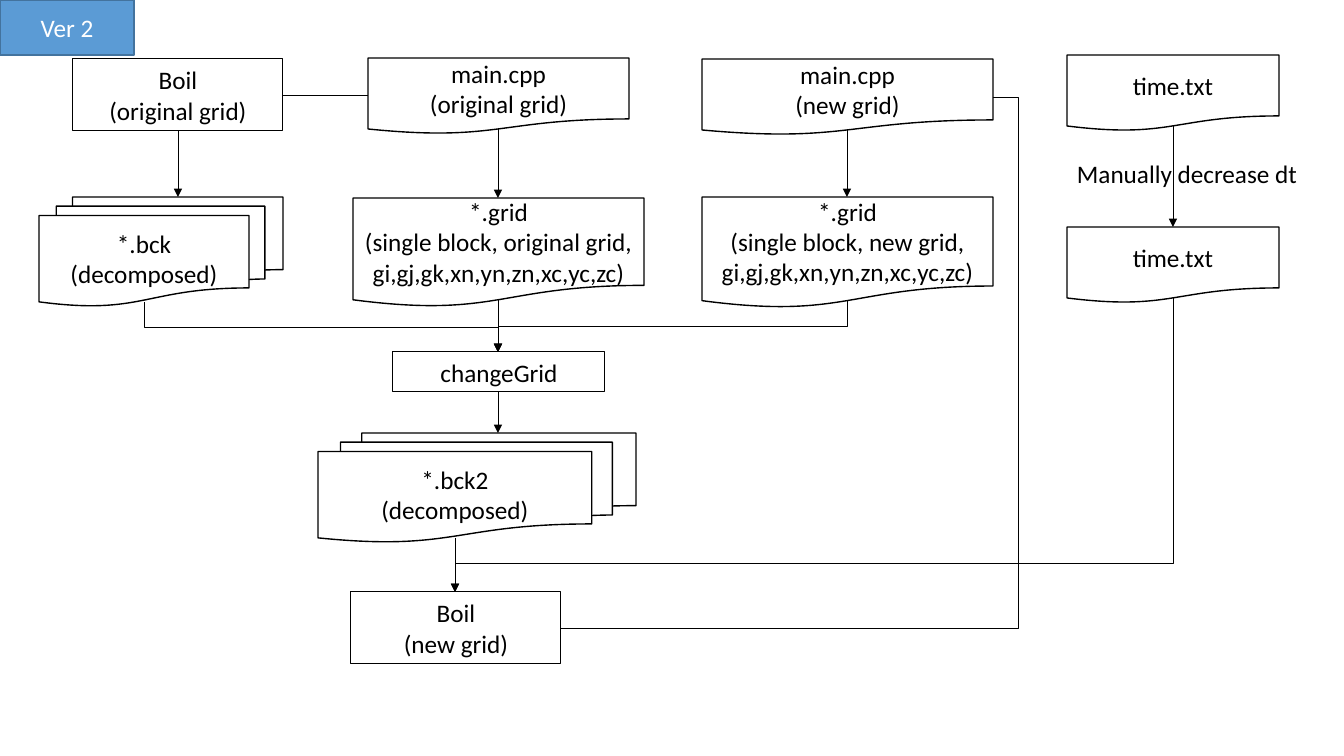
from pptx import Presentation
from pptx import util as u
from pptx.dml.color import RGBColor
from pptx.enum import shapes as sh, text as tx
from pptx.oxml import ns, xmlchemy as xm

SCALE = 914400 / 100.8
BLACK, WHITE = "000000", "FFFFFF"
BOX = sh.MSO_SHAPE.RECTANGLE
DOC = sh.MSO_SHAPE.FLOWCHART_DOCUMENT
STACK = sh.MSO_SHAPE.FLOWCHART_MULTIDOCUMENT
GRID = "*.grid\n(single block, {} grid,\ngi,gj,gk,xn,yn,zn,xc,yc,zc)"


def px(n):
    return u.Emu(round(n * SCALE))


def color(code):
    return RGBColor.from_string(code)


def write(frame, words, ink=BLACK, align=tx.PP_ALIGN.CENTER):
    frame.text = words
    for para in frame.paragraphs:
        para.alignment = align
        for run in para.runs:
            run.font.name = "Calibri"
            run.font.size = u.Pt(18)
            run.font.color.rgb = color(ink)


def node(slide, kind, place, words, fill=WHITE, edge=BLACK, ink=BLACK, width=1):
    item = slide.shapes.add_shape(kind, *map(px, place))
    item.shadow.inherit = False
    if fill:
        item.fill.solid()
        item.fill.fore_color.rgb = color(fill)
    else:
        item.fill.background()
    item.line.color.rgb = color(edge)
    item.line.width = u.Pt(width)
    item.text_frame.word_wrap = True
    item.text_frame.vertical_anchor = tx.MSO_ANCHOR.MIDDLE
    write(item.text_frame, words, ink)


def label(slide, place, words):
    frame = slide.shapes.add_textbox(*map(px, place)).text_frame
    frame.word_wrap = False
    write(frame, words, align=tx.PP_ALIGN.LEFT)


def link(slide, ends, kind=sh.MSO_CONNECTOR.STRAIGHT, arrow=True):
    line = slide.shapes.add_connector(kind, *map(px, ends))
    line.line.color.rgb = color(BLACK)
    line.line.width = u.Pt(0.5)
    if arrow:
        head = xm.OxmlElement("a:tailEnd")
        head.set("type", "triangle")
        line.line._get_or_add_ln().append(head)
    line._element.spPr.append(xm.OxmlElement("a:effectLst"))
    return line


def bend(line, part):
    """Put the middle leg of an elbow at a share of its length."""
    guide = xm.OxmlElement("a:gd")
    guide.set("name", "adj1")
    guide.set("fmla", f"val {round(part * 100000)}")
    geom = line._element.spPr.find(ns.qn("a:prstGeom"))
    geom.get_or_add_avLst().append(guide)


def drop(slide, x1, y1, x2, y2, part=0.5):
    """Elbow that leaves and arrives vertically: a turned horizontal elbow."""
    side = 1 if x2 > x1 else -1
    mid_x, mid_y = (x1 + x2) / 2, (y1 + y2) / 2
    half_w, half_h = side * (y2 - y1) / 2, abs(x2 - x1) / 2
    ends = (mid_x + half_w, mid_y - half_h, mid_x - half_w, mid_y + half_h)
    line = link(slide, ends, sh.MSO_CONNECTOR.ELBOW)
    turn = 270 if side > 0 else 90
    line._element.spPr.xfrm.set("rot", str(turn * 60000))
    bend(line, part)


def main():
    deck = Presentation()
    deck.slide_width, deck.slide_height = px(1344), px(756)
    slide = deck.slides.add_slide(deck.slide_layouts[6])

    # Version tag
    node(slide, BOX, (0, 0, 134, 55), "Ver 2", "5B9BD5", "43739E", WHITE)

    # Programs
    for place, words in (
        ((73, 59, 210, 72), "Boil\n(original grid)"),
        ((393, 352, 212, 40), "changeGrid"),
        ((351, 592, 210, 72), "Boil\n(new grid)"),
    ):
        node(slide, BOX, place, words, fill=None, width=0.75)

    # Files
    for kind, place, words in (
        (DOC, (368, 58, 261, 76), "main.cpp\n(original grid)"),
        (DOC, (702, 59, 291, 76), "main.cpp\n(new grid)"),
        (DOC, (1067, 55, 212, 76), "time.txt"),
        (DOC, (1067, 227, 212, 76), "time.txt"),
        (DOC, (353, 198, 291, 109), GRID.format("original")),
        (DOC, (702, 197, 291, 111), GRID.format("new")),
        (STACK, (39, 197, 244, 109), "*.bck\n(decomposed)"),
        (STACK, (318, 433, 318, 109), "*.bck2\n(decomposed)"),
    ):
        node(slide, kind, place, words)

    # Straight arrows
    for x, top, end in (
        (178, 131, 197), (498, 128, 198), (847, 130, 197), (1173, 126, 227),
        (498, 300, 352), (498, 392, 433), (455, 538, 592),
    ):
        link(slide, (x, top, x, end))

    # Elbow arrows
    drop(slide, 144, 302, 498, 352)
    drop(slide, 847, 300, 498, 352)
    drop(slide, 1173, 297, 455, 592, 0.904)

    # Plain links
    link(slide, (368, 95, 283, 95), arrow=False)
    loop = link(slide, (993, 97, 561, 628), sh.MSO_CONNECTOR.ELBOW, arrow=False)
    bend(loop, -0.058)

    label(slide, (1067, 153, 243, 40), "Manually decrease dt")
    deck.save("out.pptx")


if __name__ == "__main__":
    main()
